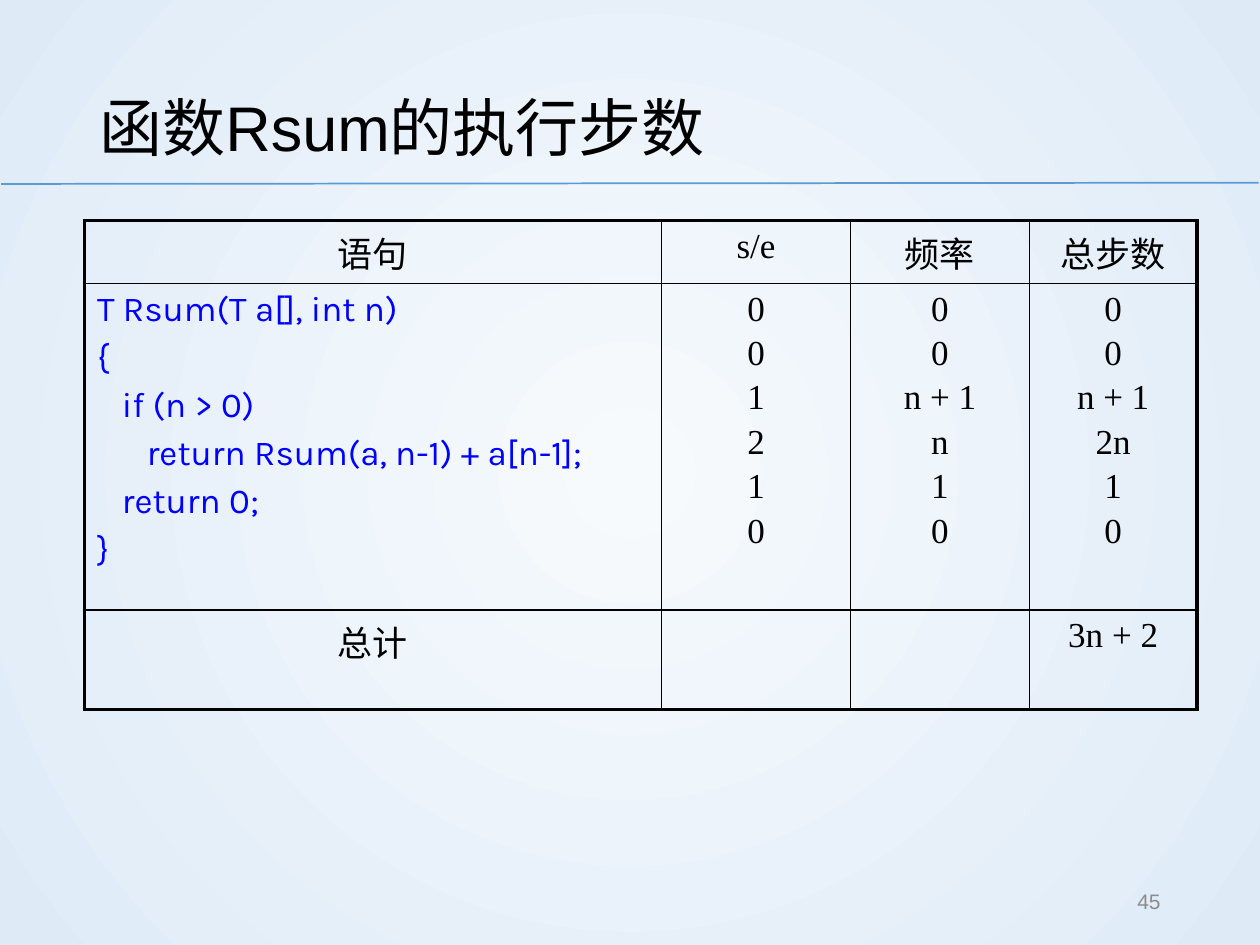
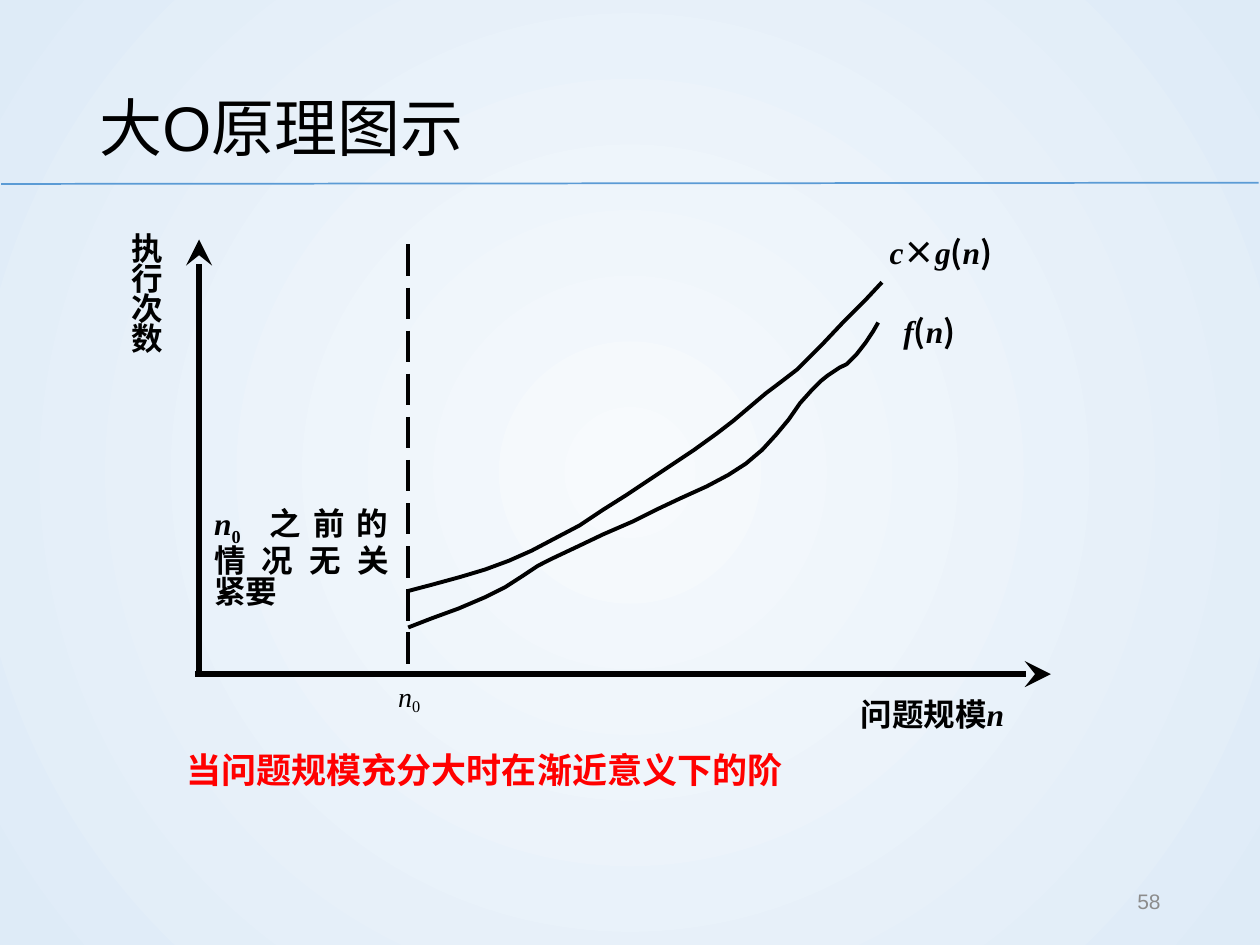
from lxml.etree import SubElement
from pptx import Presentation
from pptx.dml.color import RGBColor
from pptx.enum.dml import MSO_LINE_DASH_STYLE as Dash
from pptx.enum.shapes import MSO_CONNECTOR as Connector
from pptx.enum.text import MSO_ANCHOR as Anchor, MSO_AUTO_SIZE as AutoSize, PP_ALIGN as Align
from pptx.oxml.ns import qn
from pptx.util import Inches, Pt

COLOURS = {
    "centre": "F7FAFD", "edge": "DEEBF7", "rule": "5B9BD5", "black": "000000",
    "number": "8C8C8C", "code": "0000FF", "remark": "FF0000",
}
RGB = {name: RGBColor.from_string(value) for name, value in COLOURS.items()}
SANS, SERIF, CODE, CJK = "Arial", "Times New Roman", "Karla", "Noto Sans CJK SC"


def set_font(para, size, colour, name, bold=False):
    font = para.font
    font.size, font.bold, font.name = Pt(size), bold, name
    font.color.rgb = RGB[colour]
    SubElement(para._p.pPr.find(qn("a:defRPr")), qn("a:ea"), typeface=CJK)


def add_label(page, place, lines, size, colour="black", name=CJK, bold=True, pitch=None):
    """Add a tight text box; each line is a list of (text, font changes) spans."""
    box = page.shapes.add_textbox(*map(Inches, place))
    frame = box.text_frame
    frame.word_wrap = True
    frame.auto_size = AutoSize.SHAPE_TO_FIT_TEXT
    frame.margin_left = frame.margin_right = frame.margin_top = frame.margin_bottom = 0
    for index, spans in enumerate(lines):
        para = frame.add_paragraph() if index else frame.paragraphs[0]
        if pitch:
            para.line_spacing = Pt(pitch)
        set_font(para, size, colour, name, bold)
        for text, changes in spans:
            span = para.add_run()
            span.text = text
            if "name" in changes:
                span.font.name = changes["name"]
            if "italic" in changes:
                span.font.italic = changes["italic"]
            for key in ("baseline", "spc"):
                if key in changes:
                    span._r.get_or_add_rPr().set(key, str(changes[key]))


deck = Presentation()
deck.slide_width, deck.slide_height = Inches(10), Inches(7.5)

# Shared background, rule, title and page number
pages = []
for title, number in (("函数Rsum的执行步数", "45"), ("大O原理图示", "58")):
    page = deck.slides.add_slide(deck.slide_layouts[6])
    pages.append(page)
    fill = page.background.fill
    fill.gradient()
    for stop, colour in zip(fill.gradient_stops, ("centre", "edge")):
        stop.color.rgb = RGB[colour]
    gradient = page.element.find(".//" + qn("a:gradFill"))
    gradient.remove(gradient.find(qn("a:lin")))
    circle = SubElement(gradient, qn("a:path"))
    circle.set("path", "circle")
    SubElement(circle, qn("a:fillToRect"), dict.fromkeys("ltrb", "50000"))

    rule = page.shapes.add_connector(
        Connector.STRAIGHT, Inches(0.01), Inches(1.46), Inches(9.99), Inches(1.45))
    rule.line.color.rgb = RGB["rule"]
    rule.line.width = Pt(1)
    SubElement(rule._element.spPr, qn("a:effectLst"))

    for text, place, size, colour, align in (
        (title, (0.69, 0.4, 8.62, 1.08), 36, "black", Align.LEFT),
        (number, (7.06, 6.95, 2.25, 0.4), 12, "number", Align.RIGHT),
    ):
        frame = page.shapes.add_textbox(*map(Inches, place)).text_frame
        frame.word_wrap = True
        frame.vertical_anchor = Anchor.MIDDLE
        para = frame.paragraphs[0]
        para.text = text
        para.alignment = align
        if text == title:
            para.line_spacing = 1.2
        set_font(para, size, colour, SANS)

step_page, growth_page = pages

# Step count table
CODE_LINES = """T Rsum(T a[], int n)
{
   if (n > 0)
      return Rsum(a, n-1) + a[n-1];
   return 0;
}"""
ROWS = [
    ["语句", "s/e", "频率", "总步数"],
    [CODE_LINES, "0\n0\n1\n2\n1\n0", "0\n0\nn + 1\nn\n1\n0", "0\n0\nn + 1\n2n\n1\n0"],
    ["总计", "", "", "3n + 2"],
]
WIDTHS, HEIGHTS = (4.58, 1.5, 1.42, 1.33), (0.5, 2.59, 0.79)
last_row, last_col = len(HEIGHTS) - 1, len(WIDTHS) - 1
table = step_page.shapes.add_table(
    len(HEIGHTS), len(WIDTHS), Inches(0.67), Inches(1.75),
    Inches(sum(WIDTHS)), Inches(sum(HEIGHTS))).table
table.first_row = table.horz_banding = False
for column, width in zip(table.columns, WIDTHS):
    column.width = Inches(width)
for row, height in zip(table.rows, HEIGHTS):
    row.height = Inches(height)

for r, texts in enumerate(ROWS):
    for c, text in enumerate(texts):
        cell = table.cell(r, c)
        is_code = text == CODE_LINES
        cell.text = text
        for index, para in enumerate(cell.text_frame.paragraphs):
            para.alignment = Align.LEFT if is_code else Align.CENTER
            if index:
                para.space_before = Pt(4 if is_code else 3.2)
            set_font(para, 20, "code" if is_code else "black", CODE if is_code else SERIF)
        outer = {"L": c == 0, "R": c == last_col, "T": r == 0, "B": r == last_row}
        for side, is_outer in outer.items():
            border = SubElement(cell._tc.get_or_add_tcPr(), qn("a:ln" + side),
                                w=str(Pt(2.25 if is_outer else 1)))
            solid = SubElement(border, qn("a:solidFill"))
            SubElement(solid, qn("a:srgbClr"), val=COLOURS["black"])
        cell.fill.background()

# Axes and threshold line
for start, end, width, is_axis in (
    ((1.55, 5.35), (8.34, 5.35), 3, True),
    ((1.58, 5.35), (1.58, 1.9), 3, True),
    ((3.24, 1.94), (3.24, 5.35), 2.25, False),
):
    line = growth_page.shapes.add_connector(
        Connector.STRAIGHT, *map(Inches, start + end))
    line.line.color.rgb = RGB["black"]
    line.line.width = Pt(width)
    if is_axis:
        SubElement(line.line._get_or_add_ln(), qn("a:tailEnd"),
                   type="stealth", w="lg", len="lg")
    else:
        line.line.dash_style = Dash.LONG_DASH
    SubElement(line._element.spPr, qn("a:effectLst"))

# Growth curves
F_CURVE = [
    (3.24, 4.98), (3.42, 4.91), (3.64, 4.83), (3.85, 4.74), (4.01, 4.66), (4.15, 4.57),
    (4.27, 4.49), (4.39, 4.43), (4.58, 4.34), (4.79, 4.24), (5.02, 4.14), (5.2, 4.05),
    (5.39, 3.96), (5.61, 3.86), (5.78, 3.77), (5.92, 3.68), (6.05, 3.57), (6.16, 3.45),
    (6.26, 3.33), (6.35, 3.2), (6.44, 3.1), (6.52, 3.02), (6.57, 2.98), (6.66, 2.92),
    (6.72, 2.89), (6.8, 2.81), (6.87, 2.72), (6.93, 2.63), (6.97, 2.56),
]
G_CURVE = [
    (3.24, 4.69), (3.43, 4.64), (3.65, 4.58), (3.85, 4.52), (4.04, 4.45), (4.22, 4.37),
    (4.41, 4.27), (4.6, 4.17), (4.78, 4.05), (4.97, 3.93), (5.15, 3.81), (5.33, 3.69),
    (5.51, 3.57), (5.69, 3.44), (5.82, 3.34), (5.95, 3.23), (6.08, 3.12), (6.2, 3.03),
    (6.33, 2.93), (6.42, 2.84), (6.52, 2.74), (6.69, 2.56), (6.87, 2.38), (7, 2.24),
]
for points in (F_CURVE, G_CURVE):
    corners = [(Inches(x), Inches(y)) for x, y in points]
    builder = growth_page.shapes.build_freeform(*corners[0])
    builder.add_line_segments(corners[1:], close=False)
    curve = builder.convert_to_shape()
    curve.shadow.inherit = False
    curve.fill.background()
    curve.line.color.rgb = RGB["black"]
    curve.line.width = Pt(2.25)

# Labels
variable = {"name": SERIF, "italic": True}
argument = [("(", {}), ("n", variable), (")", {})]
add_label(growth_page, (7.06, 1.85, 1.02, 0.3),
          [[("c", variable), ("×", {}), ("g", variable)] + argument], 18)
add_label(growth_page, (7.17, 2.48, 0.67, 0.3), [[("f", variable)] + argument], 18)
add_label(growth_page, (6.83, 5.52, 1.38, 0.3), [[("问题规模", {}), ("n", variable)]], 18)
add_label(growth_page, (1.04, 1.88, 0.33, 0.97), [[("执 行 次 数", {})]], 18, pitch=17.1)
add_label(growth_page, (1.7, 4.09, 1.5, 0.75), [
    [("n", variable), ("0", {"name": SERIF, "baseline": -23000}),
     (" ", {"name": SERIF, "spc": 1200}), ("之前", {"spc": 690}), ("的", {})],
    [("情况无", {"spc": 930}), ("关", {})],
    [("紧要", {})],
], 18, pitch=18)
add_label(growth_page, (3.16, 5.39, 0.26, 0.33),
          [[("n", {"italic": True}), ("0", {"baseline": -20000})]],
          16, name=SERIF, bold=False)
add_label(growth_page, (1.48, 5.94, 5.62, 0.34),
          [[("当问题规模充分大时在渐近意义下的阶", {})]], 20, "remark", pitch=23.8)

deck.save("out.pptx")
